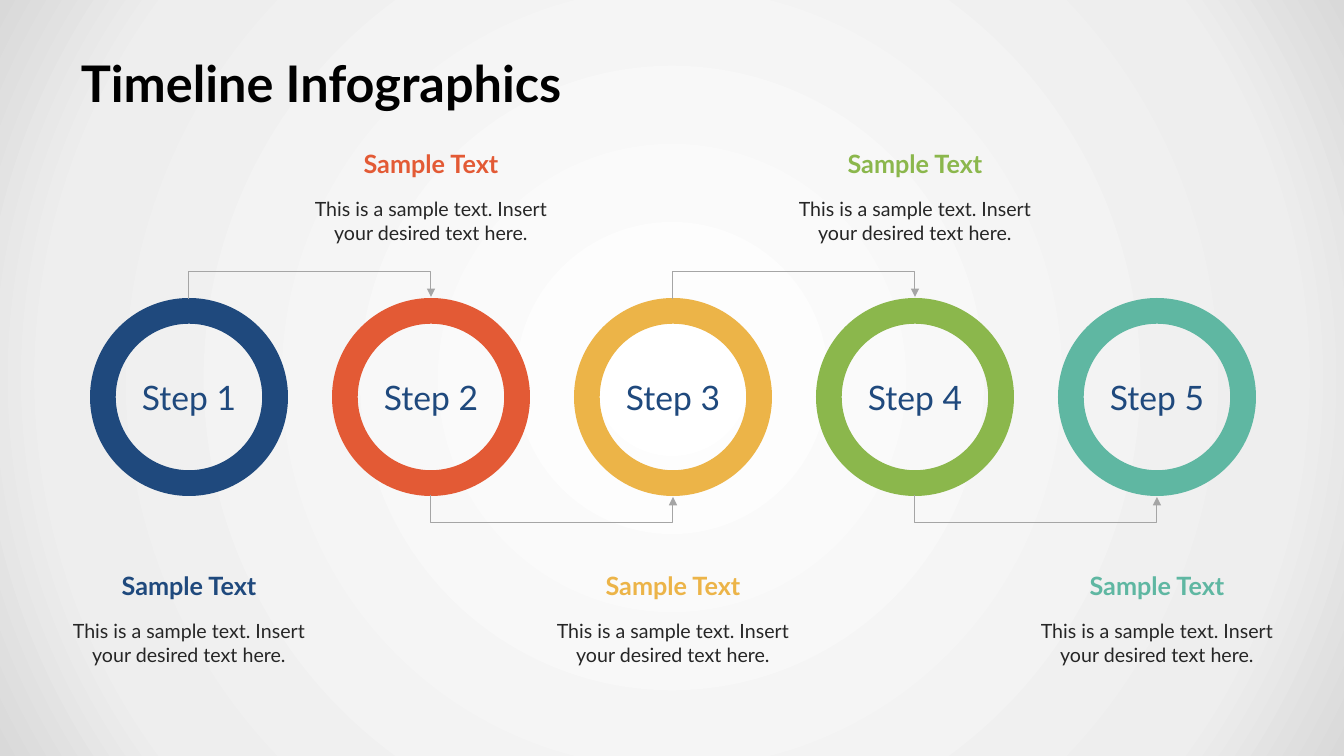
from pptx import Presentation
from pptx.dml.color import RGBColor
from pptx.enum.shapes import MSO_CONNECTOR, MSO_SHAPE
from pptx.enum.text import MSO_ANCHOR, PP_ALIGN
from pptx.oxml import parse_xml
from pptx.oxml.ns import nsdecls, qn
from pptx.util import Pt
from lxml import etree

DONUT = MSO_SHAPE.DONUT
ELBOW = MSO_CONNECTOR.ELBOW
LEFT, CENTER = PP_ALIGN.LEFT, PP_ALIGN.CENTER
TOP, MIDDLE = MSO_ANCHOR.TOP, MSO_ANCHOR.MIDDLE

EMU_PER_PX = 914400 / 100.8
SLIDE_WIDTH, SLIDE_HEIGHT = 1344, 756
NAVY = "1F497D"
STEP_COLORS = [NAVY, "E35A35", "ECB448", "8BB74C", "5FB7A2"]
BACKGROUND_STOPS = [(0, "FFFFFF"), (81, "EEEEEE"), (100, "D9D9D9")]

RING_LEFT, RING_TOP, RING_SIZE, RING_PITCH = 90, 298, 198, 242
HEADING_WIDTH, HEADING_HEIGHT = 252, 40
BODY_WIDTH, BODY_HEIGHT, BODY_OFFSET = 268, 57, 49
UPPER_TEXT_TOP, LOWER_TEXT_TOP = 143, 565
LINK_THICKNESS, LINK_REACH = 2, 28


def px(length):
    return round(length * EMU_PER_PX)


def color(hex_string):
    return RGBColor.from_string(hex_string)


class TimelineSlide:
    font_name = "Lato"
    link_color = "A5A5A5"
    title_format = {"size": Pt(36), "bold": True}
    step_format = {"size": Pt(24), "bold": False}
    heading_format = {"size": Pt(18), "bold": True}
    body_format = {"size": Pt(14), "bold": False}

    def __init__(self, presentation):
        self.slide = presentation.slides.add_slide(presentation.slide_layouts[6])

    def background(self, stops):
        self.slide.background.fill.gradient()
        default_gradient = self.slide.element.find(".//" + qn("a:gradFill"))
        stop_xml = "".join(
            f'<a:gs pos="{position * 1000}"><a:srgbClr val="{value}"/></a:gs>'
            for position, value in stops
        )
        gradient = parse_xml(
            f'<a:gradFill {nsdecls("a")} rotWithShape="1"><a:gsLst>{stop_xml}</a:gsLst>'
            '<a:path path="circle"><a:fillToRect l="50000" t="50000" r="50000" b="50000"/>'
            "</a:path></a:gradFill>"
        )
        default_gradient.getparent().replace(default_gradient, gradient)

    def fill_text(self, shape, text, text_color, formats, alignment, anchor):
        frame = shape.text_frame
        frame.word_wrap = True
        frame.vertical_anchor = anchor
        paragraph = frame.paragraphs[0]
        paragraph.alignment = alignment
        run = paragraph.add_run()
        run.text = text
        run.font.name = self.font_name
        run.font.color.rgb = color(text_color)
        for name, value in formats.items():
            setattr(run.font, name, value)

    def text(self, box, text, text_color, formats, alignment=CENTER, anchor=TOP):
        shape = self.slide.shapes.add_textbox(*map(px, box))
        self.fill_text(shape, text, text_color, formats, alignment, anchor)
        return shape

    def title(self, box, text):
        shape = self.text(box, text, "000000", self.title_format, LEFT, MIDDLE)
        margins = {"margin_left": 13, "margin_right": 13, "margin_top": 7, "margin_bottom": 7}
        for name, value in margins.items():
            setattr(shape.text_frame, name, px(value))

    def ring(self, left, text, fill_color):
        box = (left, RING_TOP, RING_SIZE, RING_SIZE)
        shape = self.slide.shapes.add_shape(DONUT, *map(px, box))
        shape.shadow.inherit = False
        shape.adjustments[0] = 0.13
        shape.fill.solid()
        shape.fill.fore_color.rgb = color(fill_color)
        shape.line.fill.background()
        self.fill_text(shape, text, NAVY, self.step_format, CENTER, MIDDLE)

    def link(self, start_center, above):
        middle_x = start_center + RING_PITCH / 2
        middle_y = RING_TOP if above else RING_TOP + RING_SIZE
        connector = self.slide.shapes.add_connector(ELBOW, 0, 0, 0, 0)
        frame = {
            "left": middle_x - LINK_THICKNESS / 2,
            "top": middle_y - RING_PITCH / 2,
            "width": LINK_THICKNESS,
            "height": RING_PITCH,
        }
        for name, value in frame.items():
            setattr(connector, name, px(value))
        connector.line.color.rgb = color(self.link_color)
        connector.line.width = Pt(0.75)
        properties = connector.element.spPr
        transform = properties.find(qn("a:xfrm"))
        transform.set("rot", str((90 if above else 270) * 60000))
        transform.set("flipH", "1")
        transform.set("flipV", "1" if above else "0")
        adjustments = properties.find(qn("a:prstGeom")).get_or_add_avLst()
        bend = LINK_REACH * 100000 // LINK_THICKNESS
        etree.SubElement(adjustments, qn("a:gd"), name="adj1", fmla=f"val {bend}")
        line = properties.find(qn("a:ln"))
        etree.SubElement(line, qn("a:tailEnd"), type="triangle")
        etree.SubElement(properties, qn("a:effectLst"))

    def caption(self, center, top, heading_color):
        heading_box = (center - HEADING_WIDTH / 2, top, HEADING_WIDTH, HEADING_HEIGHT)
        body_box = (center - BODY_WIDTH / 2, top + BODY_OFFSET, BODY_WIDTH, BODY_HEIGHT)
        body = "This is a sample text. Insert your desired text here."
        self.text(heading_box, "Sample Text", heading_color, self.heading_format)
        self.text(body_box, body, "262626", self.body_format)


def main():
    presentation = Presentation()
    presentation.slide_width = px(SLIDE_WIDTH)
    presentation.slide_height = px(SLIDE_HEIGHT)
    timeline = TimelineSlide(presentation)
    timeline.background(BACKGROUND_STOPS)
    timeline.title((68, 43, 1210, 79), "Timeline Infographics")
    for index, step_color in enumerate(STEP_COLORS):
        left = RING_LEFT + index * RING_PITCH
        center = left + RING_SIZE / 2
        is_even = index % 2 == 0
        timeline.ring(left, f"Step {index + 1}", step_color)
        timeline.caption(center, LOWER_TEXT_TOP if is_even else UPPER_TEXT_TOP, step_color)
        if index < len(STEP_COLORS) - 1:
            timeline.link(center, above=is_even)
    presentation.save("out.pptx")


if __name__ == "__main__":
    main()
